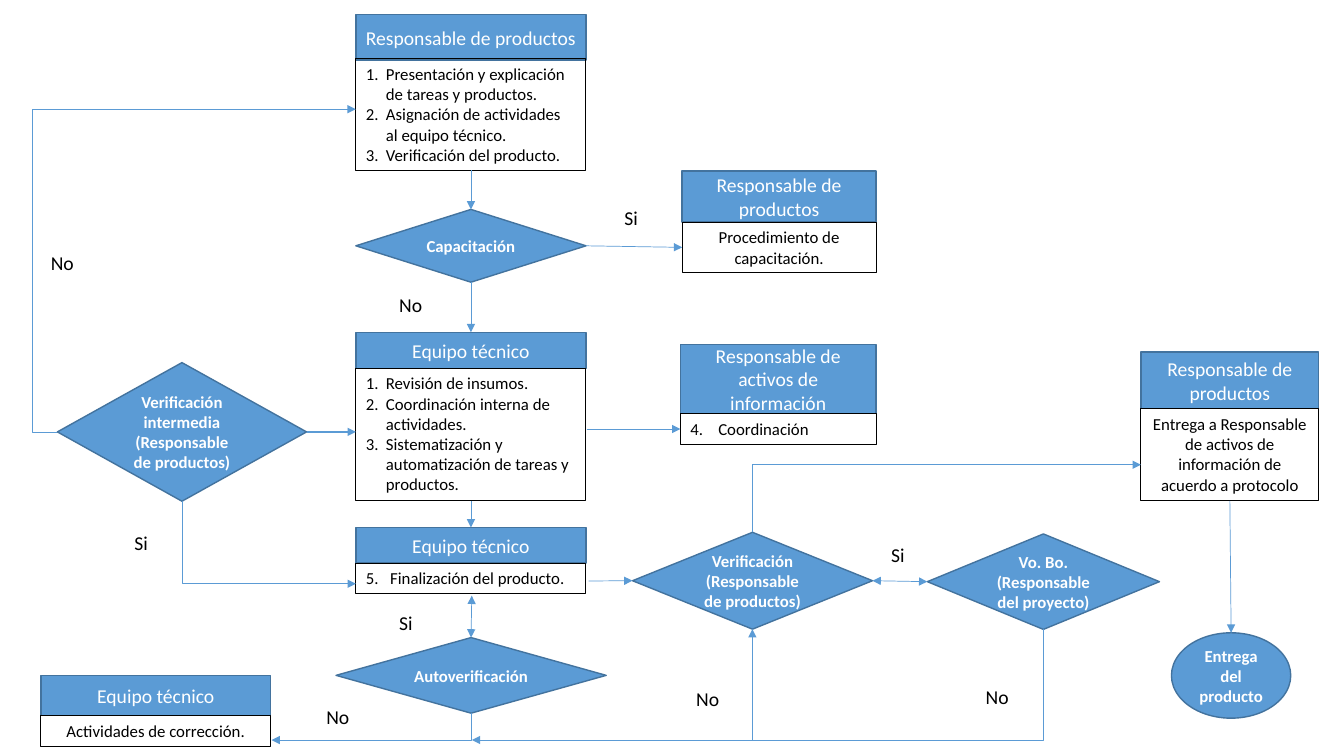
from lxml import etree
from pptx import Presentation
from pptx.dml.color import RGBColor
from pptx.enum import shapes, text
from pptx.oxml import ns
from pptx.util import Pt

BLUE = RGBColor(0x5B, 0x9B, 0xD5)
EDGE = RGBColor(0x43, 0x73, 0x9E)
BLACK = RGBColor(0, 0, 0)
WHITE = RGBColor(255, 255, 255)
FONT = "Calibri"
KIND = shapes.MSO_SHAPE

# Titled boxes: key, left, top, width, title height, body top, body height,
# title, body paragraphs, (first number, indent) or None when centred
BOXES = [
    ("entrega", 815, 251.5, 127, 40.5, 292, 65.8, "Responsable de productos",
     ["Entrega a Responsable de activos de información de acuerdo a protocolo"], None),
    ("coordinación", 486, 246, 139.8, 49.5, 295.5, 21.8,
     "Responsable de activos de información", ["Coordinación"], (4, 20)),
    ("corrección", 29.2, 482.5, 164.2, 28.8, 511.2, 21.8, "Equipo técnico",
     ["Actividades de corrección."], None),
    ("capacitar", 487.3, 122.2, 138.5, 36.5, 158.7, 36, "Responsable de productos",
     ["Procedimiento de capacitación."], None),
    ("inicio", 254.2, 10.5, 164.4, 32.4, 42, 79.8, "Responsable de productos",
     ["Presentación y explicación de tareas y productos.",
      "Asignación de actividades al equipo técnico.",
      "Verificación del producto."], (1, 14.4)),
    ("equipo", 254.2, 237.4, 164.4, 26, 263, 94.8, "Equipo técnico",
     ["Revisión de insumos.",
      "Coordinación interna de actividades.",
      "Sistematización y automatización de tareas y productos."], (1, 14.4)),
    ("final", 254.2, 376.8, 164.4, 25.4, 402.3, 22, "Equipo técnico",
     ["Finalización del producto."], (5, 17.4)),
]

# Decisions and end: key, kind, left, top, width, height, wording
NODES = [
    ("intermedia", KIND.DIAMOND, 41, 259, 178, 99,
     "Verificación intermedia (Responsable de productos)"),
    ("verificación", KIND.DIAMOND, 451.8, 380.2, 171.4, 69.2,
     "Verificación (Responsable de productos)"),
    ("visto bueno", KIND.DIAMOND, 662.4, 381.4, 165.8, 68.2,
     "Vo. Bo. (Responsable del proyecto)"),
    ("capacitación", KIND.DIAMOND, 254.2, 149.6, 164.4, 52, "Capacitación"),
    ("autoverificación", KIND.DIAMOND, 240, 455.4, 193, 54, "Autoverificación"),
    ("fin", KIND.OVAL, 836.8, 452, 85.2, 61, "Entrega del producto"),
]

# Branch labels: wording, left, top, width
LABELS = [
    ("No", 226, 499.7, 34.6), ("Si", 89, 375.4, 28), ("Si", 629.4, 384.5, 28),
    ("No", 29.2, 175.4, 34.6), ("No", 490.2, 487, 34.6), ("No", 697, 485.5, 37.4),
    ("Si", 439, 143.2, 28), ("No", 278, 205.8, 36.7), ("Si", 278, 432.5, 28),
]
LABEL_H = 24.2

# Straight arrows: start, end, line width, both ends pointed.
# An end is (key, side) on a shape or an (x, y) point.
ARROWS = [
    (("inicio", 2), ("capacitación", 0), 0.5, False),
    (("capacitación", 2), ("equipo title", 0), 0.5, False),
    (("equipo", 2), ("final title", 0), 0.5, False),
    ((419, 306.4), ("coordinación", 1), 0.5, False),
    (("intermedia", 3), (254.2, 308.5), 1, False),
    ((420.5, 415), ("verificación", 1), 0.5, False),
    ((337, 425.5), ("autoverificación", 0), 0.5, True),
    (("capacitación", 3), ("capacitar", 1), 0.5, False),
    (("verificación", 3), ("visto bueno", 1), 0.5, True),
    (("entrega", 2), ("fin", 0), 0.5, False),
]

# Arrows with corners: points in order
BASE = 528.6
ROUTES = [
    [(336.4, 509.4), (336.4, BASE), (194, BASE)],
    [(41, 308.5), (23, 308.5), (23, 78), (254.2, 78)],
    [(537.4, 449.4), (537.4, BASE), (337, BASE)],
    [(745.6, 449.6), (745.6, BASE), (537.4, BASE), (537.4, 449.4)],
    [(537.4, 380.2), (537.4, 332), (815, 332)],
    [(130.4, 358), (130.4, 417), (254.2, 417)],
]

prs = Presentation()
prs.slide_width, prs.slide_height = Pt(960), Pt(540)
slide = prs.slides.add_slide(prs.slide_layouts[6])
placed = {}


def write(s, lines, size, color, bold=False, align=text.PP_ALIGN.CENTER):
    tf = s.text_frame
    tf.word_wrap = True
    tf.text = "\n".join(lines)
    for p in tf.paragraphs:
        p.alignment = align
        for r in p.runs:
            r.font.name, r.font.size, r.font.bold = FONT, Pt(size), bold
            r.font.color.rgb = color
    return tf


def number(p, start, indent):
    pPr = p._p.get_or_add_pPr()
    pPr.set("marL", str(Pt(indent)))
    pPr.set("indent", str(-Pt(indent)))
    bullet = etree.SubElement(pPr, ns.qn("a:buAutoNum"), type="arabicPeriod")
    if start > 1:
        bullet.set("startAt", str(start))


def add_node(key, kind, x, y, w, h, fill=BLUE, edge=EDGE, weight=1):
    s = slide.shapes.add_shape(kind, Pt(x), Pt(y), Pt(w), Pt(h))
    s.shadow.inherit = False
    if fill is None:
        s.fill.background()
    else:
        s.fill.solid()
        s.fill.fore_color.rgb = fill
    s.line.color.rgb, s.line.width = edge, Pt(weight)
    placed[key] = s
    return s


def style_arrow(s, weight, both=False):
    s.line.color.rgb, s.line.width = BLUE, Pt(weight)
    ln = s.line._get_or_add_ln()
    for tag in ("a:headEnd", "a:tailEnd") if both else ("a:tailEnd",):
        etree.SubElement(ln, ns.qn(tag), type="triangle")


# Titled boxes
for key, x, y, w, title_h, body_y, body_h, title, lines, numbering in BOXES:
    s = add_node(key + " title", KIND.RECTANGLE, x, y, w, title_h)
    write(s, [title], 14, WHITE).vertical_anchor = text.MSO_ANCHOR.MIDDLE
    s = add_node(key, KIND.RECTANGLE, x, body_y, w, body_h, None, BLACK, 0.75)
    align = text.PP_ALIGN.LEFT if numbering else text.PP_ALIGN.CENTER
    tf = write(s, lines, 12, BLACK, align=align)
    tf.vertical_anchor = text.MSO_ANCHOR.TOP
    if numbering:
        for p in tf.paragraphs:
            number(p, *numbering)

# Decisions and end
for *place, wording in NODES:
    tf = write(add_node(*place), [wording], 12, WHITE, bold=True)
    tf.vertical_anchor = text.MSO_ANCHOR.MIDDLE

# Branch labels
for wording, x, y, w in LABELS:
    s = slide.shapes.add_textbox(Pt(x), Pt(y), Pt(w), Pt(LABEL_H))
    write(s, [wording], 14, BLACK, align=text.PP_ALIGN.LEFT)

# Straight arrows
for start, end, weight, both in ARROWS:
    (x1, y1), (x2, y2) = [(0, 0) if e[0] in placed else e for e in (start, end)]
    s = slide.shapes.add_connector(
        shapes.MSO_CONNECTOR.STRAIGHT, Pt(x1), Pt(y1), Pt(x2), Pt(y2))
    for e, join in ((start, s.begin_connect), (end, s.end_connect)):
        if e[0] in placed:
            join(placed[e[0]], e[1])
    style_arrow(s, weight, both)
    etree.SubElement(s._element.spPr, ns.qn("a:effectLst"))

# Arrows with corners
for first, *rest in ROUTES:
    builder = slide.shapes.build_freeform(Pt(first[0]), Pt(first[1]))
    builder.add_line_segments([(Pt(x), Pt(y)) for x, y in rest], close=False)
    s = builder.convert_to_shape()
    s.shadow.inherit = False
    s.fill.background()
    style_arrow(s, 0.5)

prs.save("out.pptx")
